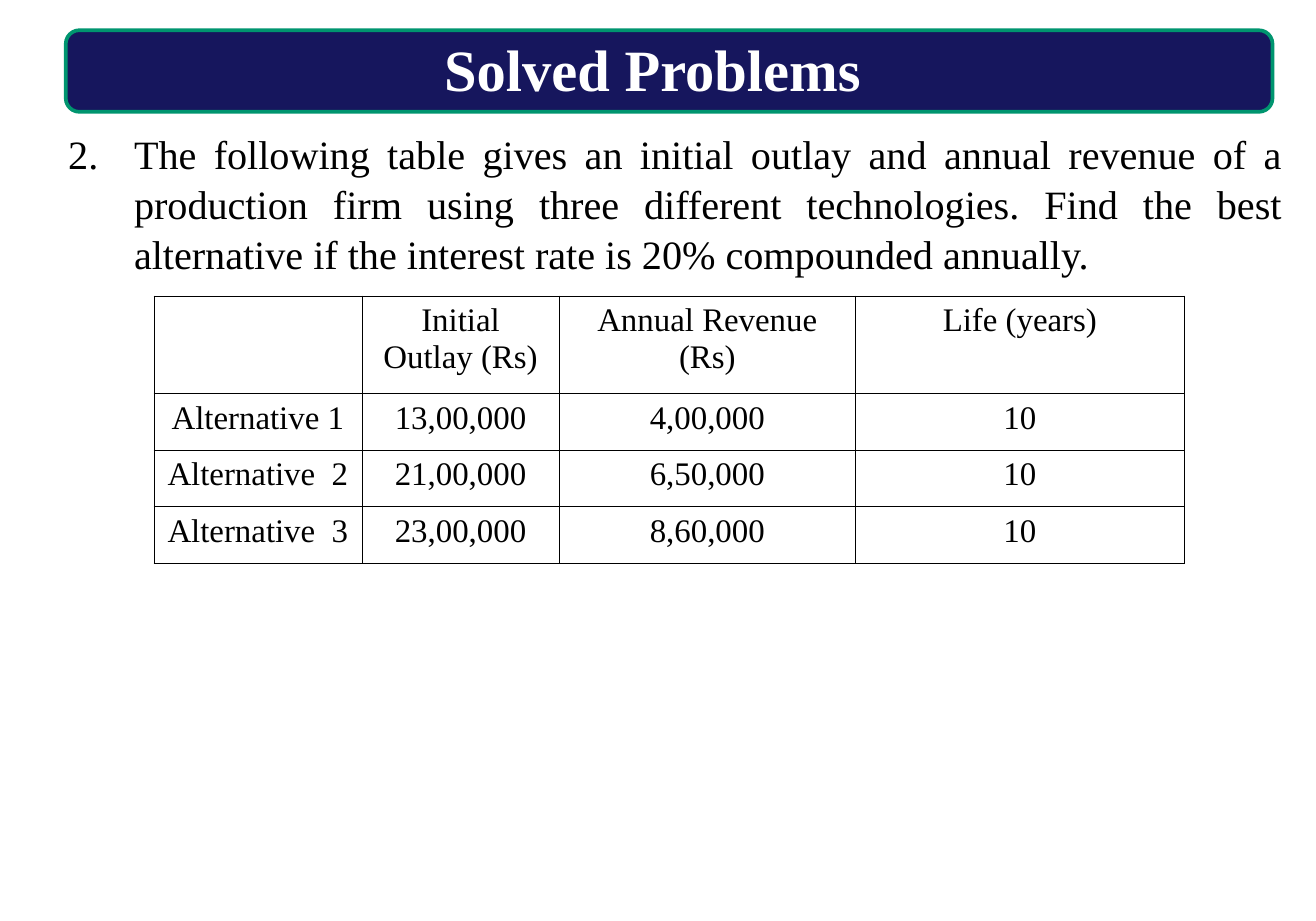
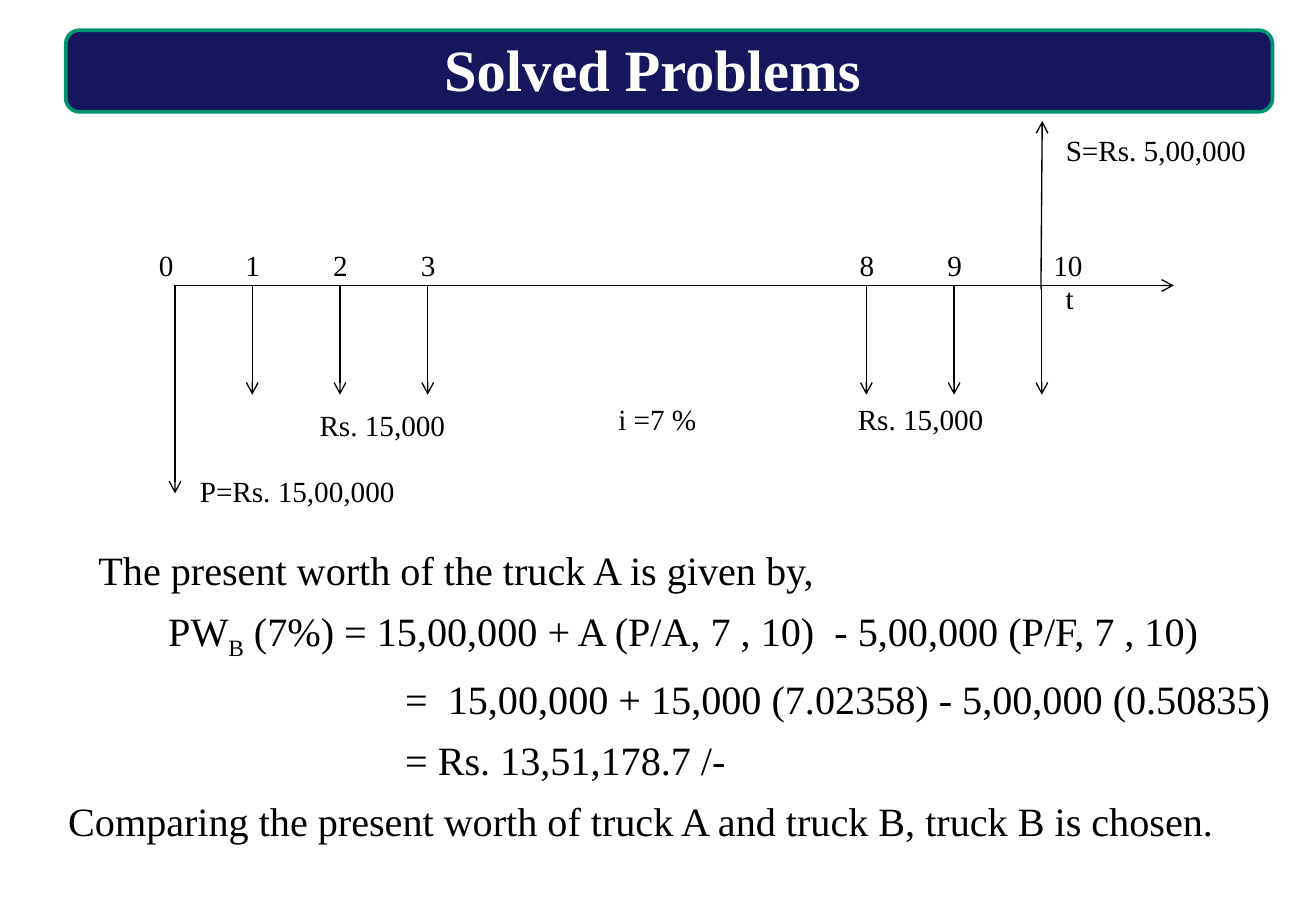
from lxml.etree import SubElement
from pptx import Presentation
from pptx.dml.color import RGBColor
from pptx.enum.shapes import MSO_CONNECTOR, MSO_SHAPE
from pptx.enum.text import PP_ALIGN
from pptx.oxml.ns import qn
from pptx.util import Inches, Pt

FONT = "Times New Roman"
NAVY, GREEN, BLACK, WHITE = "16165D", "00956F", "000000", "FFFFFF"
BODY, CELL, LABEL = 22, 18, 16
LEAD = 1.04


def color(code):
    return RGBColor.from_string(code)


def add_run(para, text, size, code=BLACK, bold=False):
    run = para.add_run()
    run.text = text
    font = run.font
    font.name, font.size, font.bold = FONT, Pt(size), bold
    font.color.rgb = color(code)
    return run


def text_box(slide, x, y, w, h):
    box = slide.shapes.add_textbox(Inches(x), Inches(y), Inches(w), Inches(h))
    box.text_frame.word_wrap = True
    return box.text_frame


def indent(para, left, first=0):
    props = para._p.get_or_add_pPr()
    props.set("marL", str(Inches(left)))
    props.set("indent", str(Inches(first)))
    return props


def title_bar(slide, text, x=0.5, y=0.23, w=9.17, h=0.62):
    bar = slide.shapes.add_shape(MSO_SHAPE.ROUNDED_RECTANGLE,
                                 Inches(x), Inches(y), Inches(w), Inches(h))
    bar.shadow.inherit = False
    bar.fill.solid()
    bar.fill.fore_color.rgb = color(NAVY)
    bar.line.color.rgb = color(GREEN)
    bar.line.width = Pt(2)
    para = text_box(slide, x + 0.23, y - 0.03, w - 0.71, h).paragraphs[0]
    para.alignment = PP_ALIGN.CENTER
    add_run(para, text, 32, WHITE, True)


def new_slide(deck):
    slide = deck.slides.add_slide(deck.slide_layouts[6])
    title_bar(slide, "Solved Problems")
    return slide


def question(slide, number, text, x, y, w, h):
    para = text_box(slide, x, y, w, h).paragraphs[0]
    para.alignment = PP_ALIGN.JUSTIFY
    para.line_spacing = LEAD
    tabs = SubElement(indent(para, 0.5, -0.5), qn("a:tabLst"))
    SubElement(tabs, qn("a:tab"), pos=str(Inches(0.68)), algn="l")
    add_run(para, number + "\t" + text, BODY)


def cell_border(cell):
    props = cell._tc.get_or_add_tcPr()
    for place, side in enumerate(("a:lnL", "a:lnR", "a:lnT", "a:lnB")):
        line = SubElement(props, qn(side), w=str(Pt(0.45)))
        fill = SubElement(line, qn("a:solidFill"))
        SubElement(fill, qn("a:srgbClr"), val=BLACK)
        props.remove(line)
        props.insert(place, line)


def data_table(slide, rows, widths, heights, x, y):
    table = slide.shapes.add_table(len(rows), len(widths), Inches(x), Inches(y),
                                   Inches(sum(widths)), Inches(sum(heights))).table
    table.first_row = table.horz_banding = False
    for col, width in zip(table.columns, widths):
        col.width = Inches(width)
    for line, height, texts in zip(table.rows, heights, rows):
        line.height = Inches(height)
        for cell, text in zip(line.cells, texts):
            cell.fill.background()
            cell_border(cell)
            para = cell.text_frame.paragraphs[0]
            para.alignment = PP_ALIGN.CENTER
            if text:
                add_run(para, text, CELL)


def arrow(slide, x1, y1, x2, y2):
    link = slide.shapes.add_connector(MSO_CONNECTOR.STRAIGHT, Inches(x1), Inches(y1),
                                      Inches(x2), Inches(y2))
    link.line.color.rgb = color(BLACK)
    link.line.width = Pt(0.75)
    SubElement(link.line._get_or_add_ln(), qn("a:tailEnd"), type="arrow")
    SubElement(link._element.spPr, qn("a:effectLst"))


def label(slide, text, x, y, w=0.5):
    add_run(text_box(slide, x, y, w, 0.37).paragraphs[0], text, LABEL)


def cash_flow(slide, x, y):
    axis = y + 1.25
    years = y + 0.91
    arrow(slide, x, axis, x + 7.59, axis)
    arrow(slide, x, axis, x, axis + 1.58)
    label(slide, "0", x - 0.22, years)
    for year in (1, 2, 3, 8, 9, 10):
        tick = x - 0.08 + year * 2 / 3
        arrow(slide, tick, axis, tick, axis + 0.83)
        shift = 0.01 if year == 10 else 0.15
        label(slide, str(year), tick - shift, years)
    arrow(slide, x + 6.58, axis + 0.03, x + 6.59, y)
    for text, dx, dy, w in (("t", 6.67, 1.16, 0.5),
                            ("S=Rs. 5,00,000", 6.67, 0.04, 1.58),
                            ("P=Rs. 15,00,000", 0.09, 2.63, 1.83),
                            ("Rs. 15,000", 1, 2.13, 1.33),
                            ("i =7 %", 3.27, 2.08, 0.98),
                            ("Rs. 15,000", 5.09, 2.08, 1.33)):
        label(slide, text, x + dx, y + dy, w)


def working(slide, lines, x, y, w, h):
    frame = text_box(slide, x, y, w, h)
    for place, (left, parts) in enumerate(lines):
        para = frame.add_paragraph() if place else frame.paragraphs[0]
        para.line_spacing = LEAD
        para.space_after = Pt(6)
        indent(para, left)
        for text, low in parts:
            run = add_run(para, text, BODY)
            if low:
                run.font._element.set("baseline", "-25000")


def problem_slide(deck):
    slide = new_slide(deck)
    question(slide, "2.", "The following table gives an initial outlay and annual revenue "
             "of a production firm using three different technologies. Find the best "
             "alternative if the interest rate is 20% compounded annually.",
             0.42, 0.92, 9.42, 1.2)
    rows = [("", "Initial Outlay (Rs)", "Annual Revenue (Rs)", "Life (years)"),
            ("Alternative 1", "13,00,000", "4,00,000", "10"),
            ("Alternative  2", "21,00,000", "6,50,000", "10"),
            ("Alternative  3", "23,00,000", "8,60,000", "10")]
    data_table(slide, rows, (1.58, 1.5, 2.25, 2.5), (0.74, 0.43, 0.43, 0.43), 1.17, 2.25)


def truck_slide(deck):
    slide = new_slide(deck)
    cash_flow(slide, 1.33, 0.92)
    lines = [
        (0.23, [("The present worth of the truck A is given by,", False)]),
        (0.76, [("PW", False), ("B", True),
                (" (7%) = 15,00,000 + A (P/A, 7 , 10)  - 5,00,000 (P/F, 7 , 10)", False)]),
        (2.56, [("=  15,00,000 + 15,000 (7.02358) - 5,00,000 (0.50835)", False)]),
        (2.56, [("= Rs. 13,51,178.7 /-", False)]),
        (0, [("Comparing the present worth of truck A and truck B, truck B is chosen.", False)]),
    ]
    working(slide, lines, 0.42, 4.08, 9.58, 2.5)


def main():
    deck = Presentation()
    deck.slide_width, deck.slide_height = Inches(10), Inches(7)
    problem_slide(deck)
    truck_slide(deck)
    deck.save("out.pptx")


if __name__ == "__main__":
    main()
